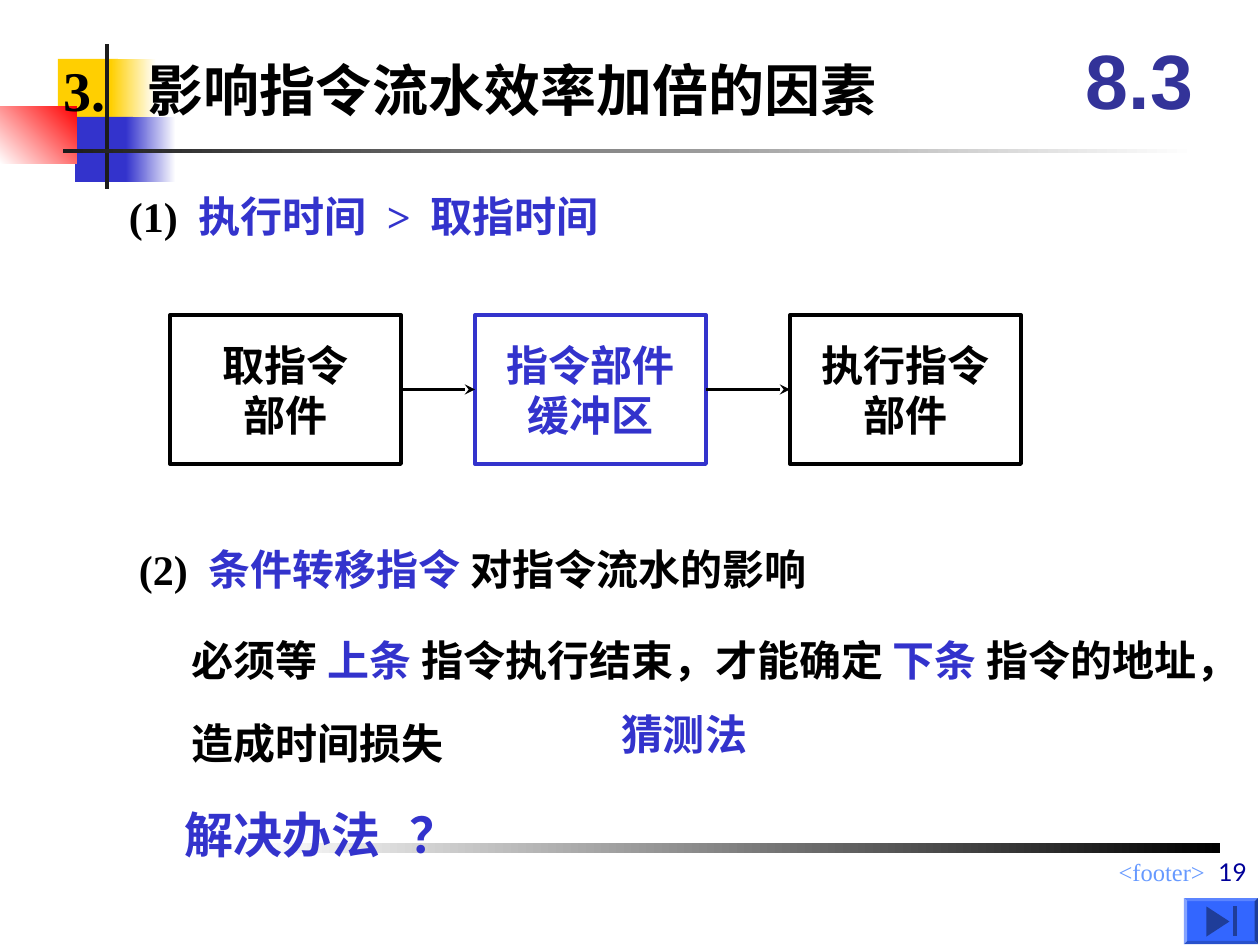
from pptx import Presentation
from pptx.dml.color import RGBColor
from pptx.enum.shapes import MSO_CONNECTOR, MSO_SHAPE
from pptx.enum.text import MSO_ANCHOR as ANCHOR, MSO_AUTO_SIZE, PP_ALIGN as ALIGN
from pptx.oxml.ns import qn
from pptx.util import Emu, Pt
from lxml.etree import SubElement

SERIF = "Times New Roman"
BLACK, BLUE, WHITE = "000000", "3333CC", "FFFFFF"


def px(count):
    return Emu(round(count * 914400 / 126))


def rgb(value):
    return RGBColor.from_string(value)


def place(shape, box):
    shape.left, shape.top, shape.width, shape.height = map(px, box)


def set_frame(shape, anchor=ANCHOR.MIDDLE):
    frame = shape.text_frame
    frame.auto_size = MSO_AUTO_SIZE.NONE
    frame.word_wrap = True
    frame.vertical_anchor = anchor
    frame.margin_left = frame.margin_right = 0
    frame.margin_top = frame.margin_bottom = px(6)
    return frame


def write(paragraph, runs, size=24, font=SERIF, bold=True, align=ALIGN.LEFT, tabs=()):
    paragraph.alignment = align
    if tabs:
        stops = SubElement(paragraph._p.get_or_add_pPr(), qn("a:tabLst"))
        for stop in tabs:
            SubElement(stops, qn("a:tab"), pos=str(px(stop)), algn="l")
    for text, color in runs:
        run = paragraph.add_run()
        run.text = text
        run.font.size, run.font.name, run.font.bold = Pt(size), font, bold
        run.font.color.rgb = rgb(color)


def add_label(slide, box, runs, anchor=ANCHOR.MIDDLE, **style):
    label = slide.shapes.add_textbox(*map(px, box))
    write(set_frame(label, anchor).paragraphs[0], runs, **style)


def add_block(slide, box, start, end=None, angle=0, kind=MSO_SHAPE.RECTANGLE):
    block = slide.shapes.add_shape(kind, *map(px, box))
    block.shadow.inherit = False
    block.line.fill.background()
    if end:
        block.fill.gradient()
        block.fill.gradient_angle = angle
        for stop, color in zip(block.fill.gradient_stops, (start, end)):
            stop.color.rgb = rgb(color)
    else:
        block.fill.solid()
        block.fill.fore_color.rgb = rgb(start)
    return block


def add_ornament(slide, x, y):
    blocks = [
        ((58, 15, 60, 65), "FFCF01", None, 0),
        ((111, 15, 45, 65), "FFCF01", WHITE, 0),
        ((75, 73, 58, 65), BLUE, None, 0),
        ((126, 73, 50, 65), BLUE, WHITE, 0),
        ((0, 62, 77, 58), "FF0000", WHITE, 225),
        ((105, 0, 4, 145), "1C1C1C", None, 0),
        ((63, 105, 1134, 4), "1C1C1C", WHITE, 0),
    ]
    for (left, top, width, height), start, end, angle in blocks:
        add_block(slide, (x + left, y + top, width, height), start, end, angle)


def add_heading(slide, box):
    title = slide.shapes.title
    slide.shapes._spTree.append(title._element)
    place(title, box)
    write(set_frame(title).paragraphs[0], [("3.\t影响指令流水效率加倍的因素", BLACK)],
          size=32, tabs=[84])
    x, y, width, height = box
    add_label(slide, (x + 997, y - 32, 157, 116), [("8.3", "333399")],
              size=44, font="Arial", align=ALIGN.CENTER)


def add_pipeline(slide, x, y):
    stages = [
        (0, ("取指令", "部件"), BLACK),
        (305, ("指令部件", "缓冲区"), BLUE),
        (620, ("执行指令", "部件"), BLACK),
    ]
    units = []
    for left, lines, color in stages:
        unit = slide.shapes.add_shape(
            MSO_SHAPE.RECTANGLE, *map(px, (x + left, y, 231, 149)))
        unit.shadow.inherit = False
        unit.fill.background()
        unit.line.color.rgb = rgb(color)
        unit.line.width = Pt(2.25)
        frame = set_frame(unit)
        for index, line in enumerate(lines):
            paragraph = frame.add_paragraph() if index else frame.paragraphs[0]
            write(paragraph, [(line, color)], align=ALIGN.CENTER)
        units.append(unit)
    for source, target in zip(units, units[1:]):
        add_flow(slide, source, target)


def add_flow(slide, source, target):
    flow = slide.shapes.add_connector(MSO_CONNECTOR.STRAIGHT, 0, 0, 0, 0)
    flow.begin_connect(source, 3)
    flow.end_connect(target, 1)
    flow.line.color.rgb = rgb(BLACK)
    flow.line.width = Pt(1.5)
    SubElement(flow.line._get_or_add_ln(), qn("a:tailEnd"), type="stealth")
    SubElement(flow._element.spPr, qn("a:effectLst"))


def add_explanation(slide, box):
    body = slide.placeholders[1]
    slide.shapes._spTree.append(body._element)
    place(body, box)
    frame = set_frame(body, ANCHOR.TOP)
    lines = [
        [("必须等 ", BLACK), ("上条 ", BLUE), ("指令执行结束，才能确定 ", BLACK),
         ("下条 ", BLUE), ("指令的地址，", BLACK)],
        [("造成时间损失", BLACK)],
    ]
    for index, runs in enumerate(lines):
        paragraph = frame.add_paragraph() if index else frame.paragraphs[0]
        properties = paragraph._p.get_or_add_pPr()
        properties.set("marL", "0")
        properties.set("indent", "0")
        SubElement(properties, qn("a:buNone"))
        paragraph.line_spacing = 1.65
        paragraph.space_before = Pt(0)
        write(paragraph, runs)


def add_factors(slide, x, y):
    add_label(slide, (x, y, 645, 73),
              [("(1)\t", BLACK), ("执行时间\t>\t取指时间", BLUE)], tabs=[70, 258, 302])
    add_label(slide, (x + 10, y + 353, 872, 73),
              [("(2)\t", BLACK), ("条件转移指令 ", BLUE), ("对指令流水的影响", BLACK)],
              tabs=[70])
    add_explanation(slide, (x + 63, y + 417, 1068, 179))
    add_label(slide, (x + 492, y + 524, 520, 63), [("猜测法", BLUE)], ANCHOR.TOP)
    add_label(slide, (x + 56, y + 618, 800, 73), [("解决办法\t？", BLUE)],
              size=28, tabs=[225])


def add_footer(slide, x, y):
    add_label(slide, (x + 240, y + 8, 711, 33), [("<footer>", "6699FF")], ANCHOR.TOP,
              size=14, bold=False, align=ALIGN.RIGHT)
    add_label(slide, (x + 402, y - 14, 591, 63), [("19", "000099")], ANCHOR.BOTTOM,
              size=14, font="Lato", bold=False, align=ALIGN.RIGHT)


def add_end_button(slide, box):
    x, y, width, height = box
    button = add_block(slide, box, "3366FF", kind=MSO_SHAPE.BEVEL)
    button.adjustments[0] = 0.07
    pointer = add_block(slide, (x + 19, y + 12, 30, 23), "1F3D99",
                        kind=MSO_SHAPE.ISOSCELES_TRIANGLE)
    pointer.rotation = 90
    add_block(slide, (x + 49, y + 8, 4, 30), "1F3D99")


def main():
    deck = Presentation()
    deck.slide_width, deck.slide_height = px(1260), px(945)
    slide = deck.slides.add_slide(deck.slide_layouts[1])
    add_ornament(slide, 0, 44)
    add_block(slide, (254, 843, 966, 10), WHITE, BLACK)
    add_heading(slide, (64, 53, 872, 73))
    add_factors(slide, 129, 179)
    add_pipeline(slide, 170, 315)
    add_footer(slide, 254, 843)
    add_end_button(slide, (1184, 898, 74, 46))
    deck.save("out.pptx")


if __name__ == "__main__":
    main()
